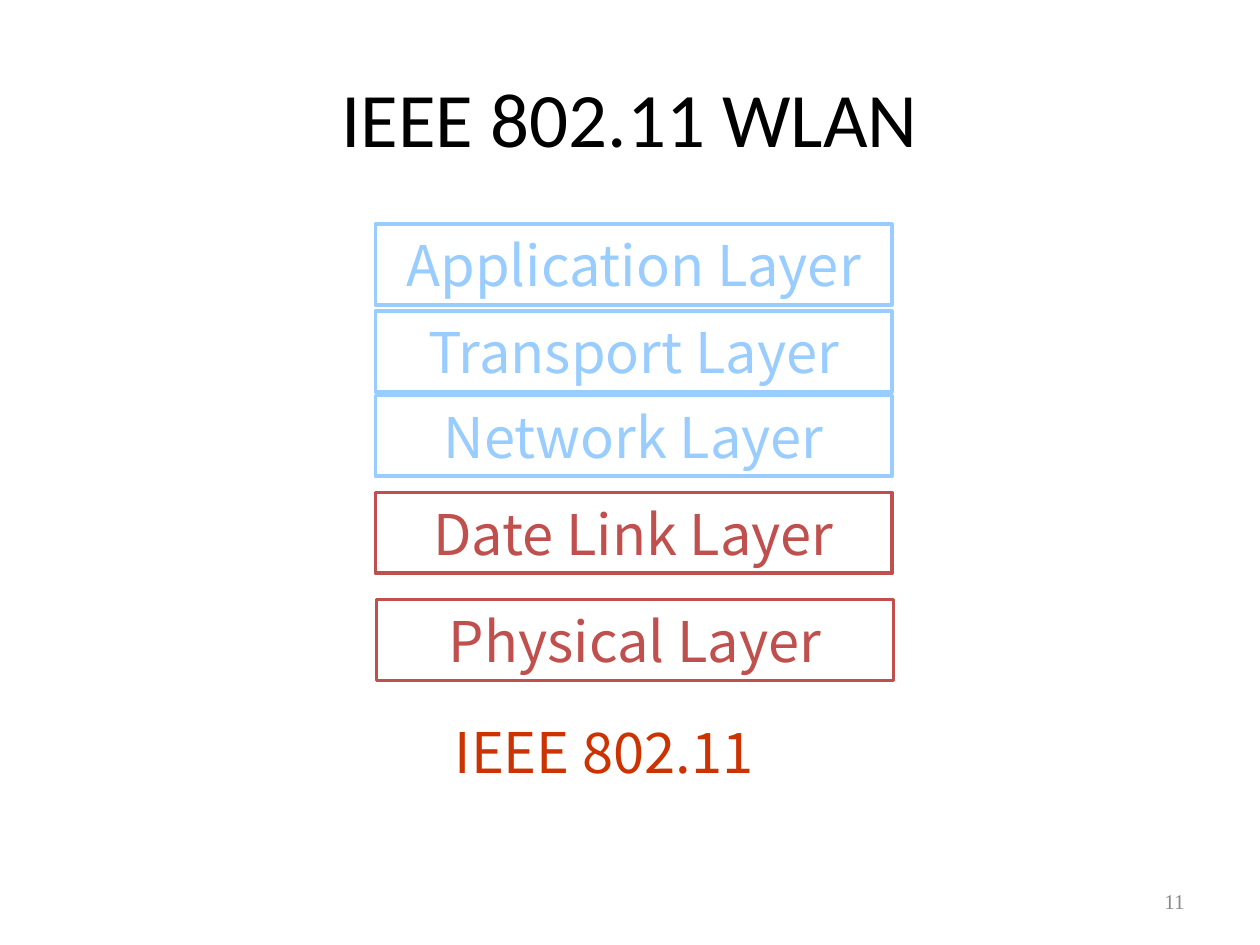
from dataclasses import dataclass

from pptx import Presentation
from pptx.dml.color import RGBColor
from pptx.enum.shapes import MSO_SHAPE
from pptx.enum.text import MSO_ANCHOR, PP_ALIGN
from pptx.util import Inches, Pt

SLIDE_WIDTH, SLIDE_HEIGHT = 10, 7.5
LAYER_FONT = "Noto Sans CJK KR"
LAYER_WIDTH, LAYER_HEIGHT = 4.1, 0.64
UPPER, WIRELESS, CAPTION = "99CCFF", "C0504D", "CC3300"


@dataclass(frozen=True)
class Layer:
    """One layer of the protocol stack."""
    name: str
    top: float
    colour: str
    left: float = 2.98


LAYERS = (
    Layer("Application Layer", 1.78, UPPER),
    Layer("Transport Layer", 2.47, UPPER),
    Layer("Network Layer", 3.14, UPPER),
    Layer("Date Link Layer", 3.91, WIRELESS),
    Layer("Physical Layer", 4.76, WIRELESS, left=2.99),
)


def rgb(colour: str) -> RGBColor:
    """Turn a hex string into a colour."""
    return RGBColor.from_string(colour)


def write(box, text: str, *, size: float, colour: str, font: str = LAYER_FONT,
          align=PP_ALIGN.CENTER) -> None:
    """Put one vertically centred line of formatted text in a box."""
    frame = box.text_frame
    frame.word_wrap = True
    frame.vertical_anchor = MSO_ANCHOR.MIDDLE
    para = frame.paragraphs[0]
    para.alignment = align
    span = para.add_run()
    span.text = text
    span.font.name = font
    span.font.size = Pt(size)
    span.font.color.rgb = rgb(colour)


def add_label(page, text: str, left: float, top: float, width: float,
              height: float, **text_format) -> None:
    """Add a text box placed in inches."""
    box = page.shapes.add_textbox(*map(Inches, (left, top, width, height)))
    write(box, text, **text_format)


def add_layer(page, layer: Layer) -> None:
    """Draw one outlined layer of the stack."""
    box = page.shapes.add_shape(
        MSO_SHAPE.RECTANGLE,
        *map(Inches, (layer.left, layer.top, LAYER_WIDTH, LAYER_HEIGHT)))
    box.shadow.inherit = False
    box.fill.background()
    box.line.color.rgb = rgb(layer.colour)
    box.line.width = Pt(2)
    write(box, layer.name, size=32, colour=layer.colour)


def main() -> None:
    """Build and save the slide."""
    deck = Presentation()
    deck.slide_width = Inches(SLIDE_WIDTH)
    deck.slide_height = Inches(SLIDE_HEIGHT)
    page = deck.slides.add_slide(deck.slide_layouts[6])
    add_label(page, "IEEE 802.11 WLAN", 0.5, 0.3, 9, 1.25,
              size=44, colour="000000", font="Calibri")
    for layer in LAYERS:
        add_layer(page, layer)
    add_label(page, "IEEE 802.11", 3.51, 5.64, 2.66, LAYER_HEIGHT,
              size=32, colour=CAPTION, align=PP_ALIGN.LEFT)
    add_label(page, "11", 7.17, 6.95, 2.33, 0.4, size=12, colour="898989",
              font="Times New Roman", align=PP_ALIGN.RIGHT)
    deck.save("out.pptx")


if __name__ == "__main__":
    main()
